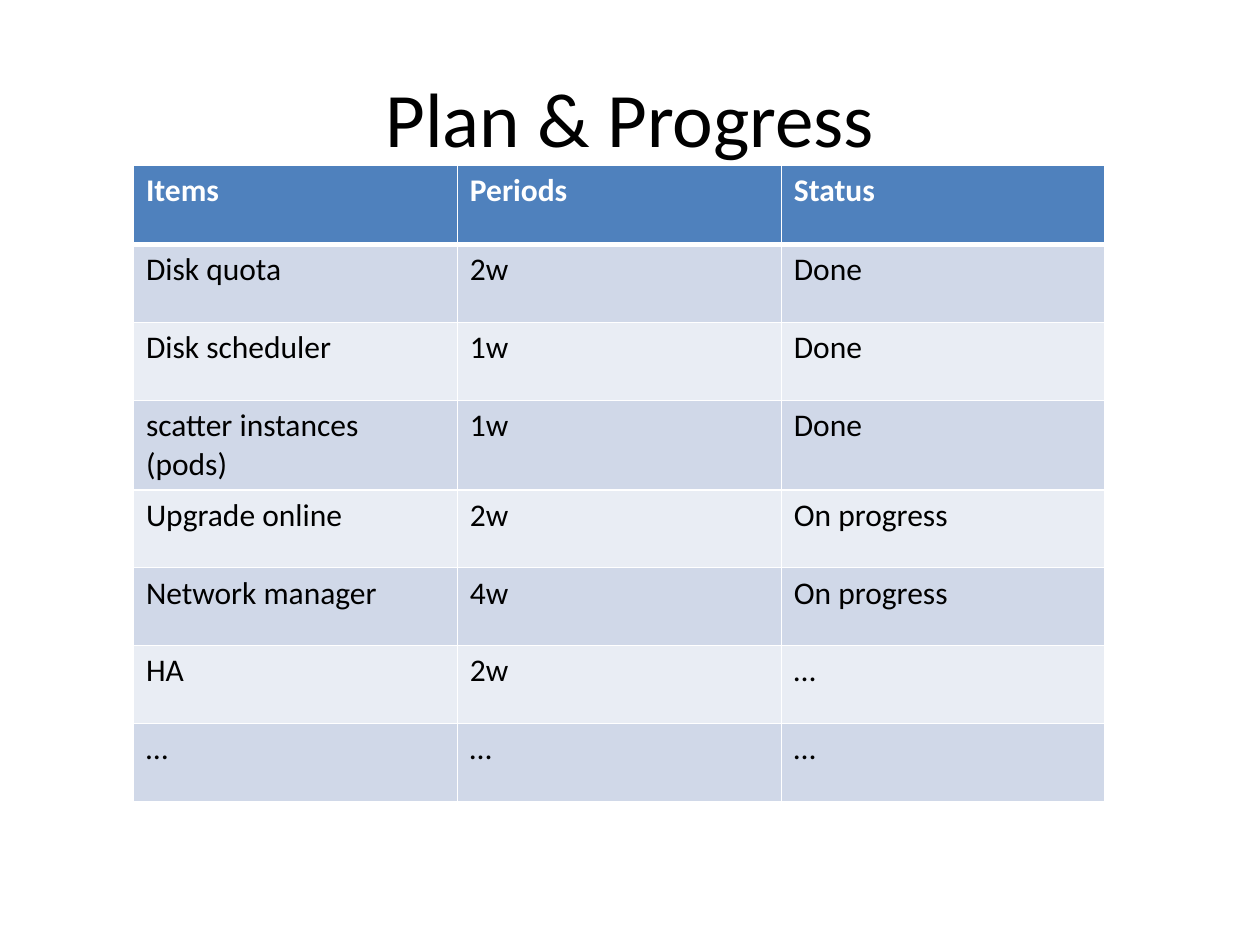
from dataclasses import astuple, dataclass, fields

from lxml.etree import SubElement
from pptx import Presentation
from pptx.dml.color import RGBColor
from pptx.enum.text import MSO_ANCHOR as Anchor, PP_ALIGN as Align
from pptx.oxml.ns import qn
from pptx.slide import Slide
from pptx.table import _Cell as Cell
from pptx.text.text import TextFrame
from pptx.util import Cm, Pt

BLACK = RGBColor(0x00, 0x00, 0x00)
WHITE = RGBColor(0xFF, 0xFF, 0xFF)
HEADER_BLUE = RGBColor(0x4F, 0x81, 0xBD)
BAND_DARK = RGBColor(0xD0, 0xD8, 0xE8)
BAND_LIGHT = RGBColor(0xE9, 0xED, 0xF4)

FONT = "Calibri"
COLUMN_WIDTH = Cm(6.53)
HEADER_HEIGHT = Cm(1.6)
ROW_HEIGHT = Cm(1.57)
THIN, THICK = Pt(1), Pt(3)


@dataclass(frozen=True)
class PlanItem:
    item: str
    period: str
    status: str


HEADINGS = PlanItem("Items", "Periods", "Status")
PLAN = [
    PlanItem("Disk quota", "2w", "Done"),
    PlanItem("Disk scheduler", "1w", "Done"),
    PlanItem("scatter instances (pods)", "1w", "Done"),
    PlanItem("Upgrade online", "2w", "On progress"),
    PlanItem("Network manager", "4w", "On progress"),
    PlanItem("HA", "2w", "…"),
    PlanItem("…", "…", "…"),
]


def add_run(frame: TextFrame, text: str, size: int, color: RGBColor, bold: bool = False) -> None:
    run = frame.paragraphs[0].add_run()
    run.text = text
    run.font.name = FONT
    run.font.size = Pt(size)
    run.font.bold = bold
    run.font.color.rgb = color


def set_borders(cell: Cell, top: int, bottom: int) -> None:
    """Draw white borders; call before filling, as lines precede the fill in the XML."""
    properties = cell._tc.get_or_add_tcPr()
    for side, width in (("L", THIN), ("R", THIN), ("T", top), ("B", bottom)):
        line = SubElement(properties, qn(f"a:ln{side}"), w=str(width))
        fill = SubElement(line, qn("a:solidFill"))
        SubElement(fill, qn("a:srgbClr"), val=str(WHITE))


def add_title(slide: Slide, text: str) -> None:
    title = slide.shapes.title
    title.left, title.top = Cm(1.27), Cm(0.76)
    title.width, title.height = Cm(22.86), Cm(3.18)
    title.text_frame.vertical_anchor = Anchor.MIDDLE
    title.text_frame.paragraphs[0].alignment = Align.CENTER
    add_run(title.text_frame, text, 44, BLACK)


def add_plan_table(slide: Slide, headings: PlanItem, plan: list[PlanItem]) -> None:
    column_count = len(fields(PlanItem))
    table = slide.shapes.add_table(
        len(plan) + 1, column_count, Cm(2.69), Cm(3.33),
        COLUMN_WIDTH * column_count, HEADER_HEIGHT + ROW_HEIGHT * len(plan),
    ).table
    for column in table.columns:
        column.width = COLUMN_WIDTH

    for index, entry in enumerate([headings, *plan]):
        is_header = index == 0
        table.rows[index].height = HEADER_HEIGHT if is_header else ROW_HEIGHT
        band = BAND_DARK if index % 2 else BAND_LIGHT
        for cell, text in zip(table.rows[index].cells, astuple(entry)):
            set_borders(cell, THICK if index == 1 else THIN, THICK if is_header else THIN)
            cell.fill.solid()
            cell.fill.fore_color.rgb = HEADER_BLUE if is_header else band
            add_run(cell.text_frame, text, 18, WHITE if is_header else BLACK, bold=is_header)


def main() -> None:
    presentation = Presentation()
    presentation.slide_width, presentation.slide_height = Cm(25.4), Cm(19.05)
    slide = presentation.slides.add_slide(presentation.slide_layouts.get_by_name("Title Only"))
    add_title(slide, "Plan & Progress")
    add_plan_table(slide, HEADINGS, PLAN)
    presentation.save("out.pptx")


if __name__ == "__main__":
    main()
